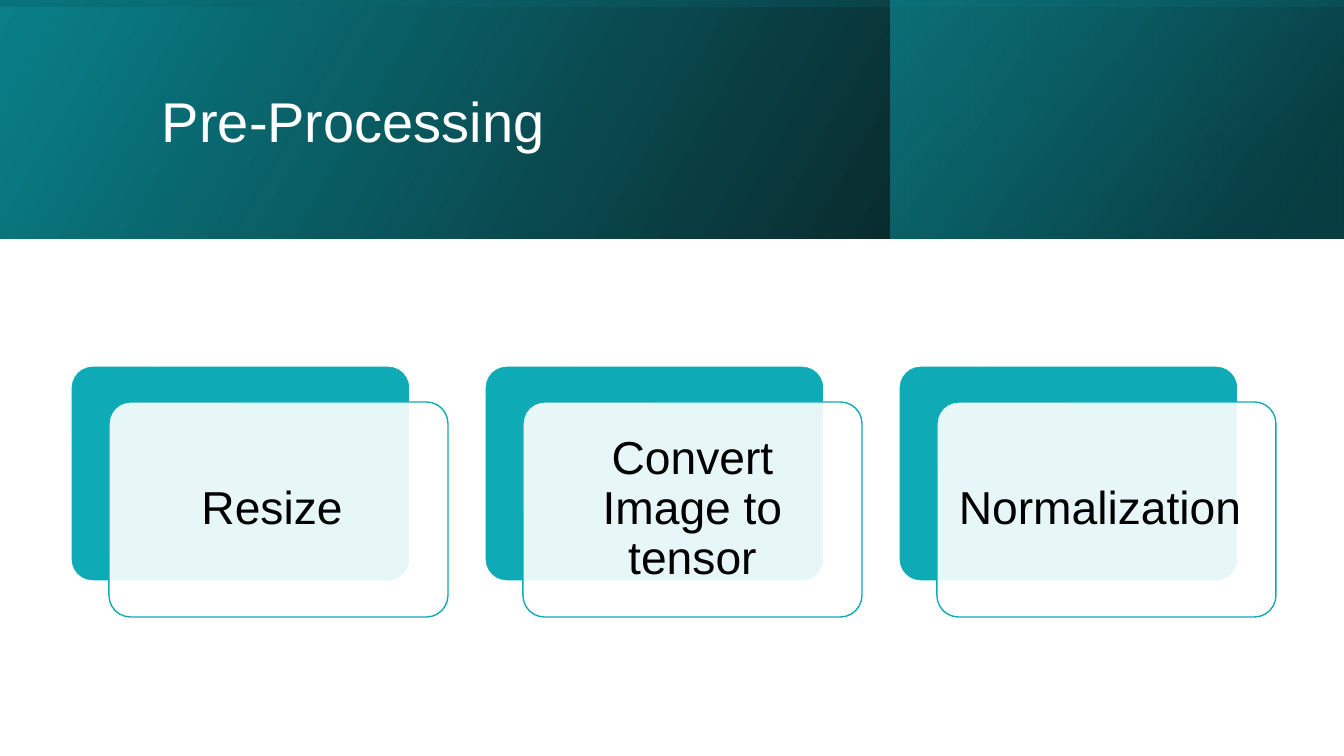
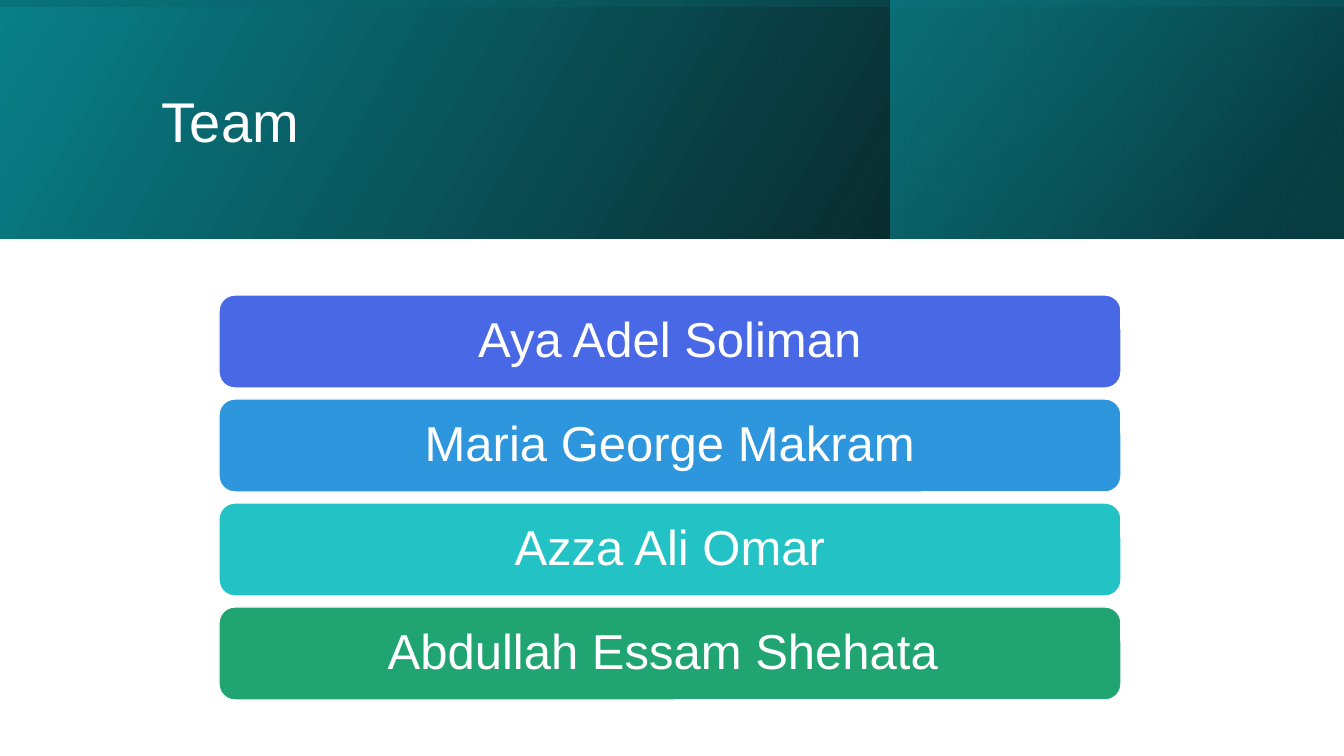
from dataclasses import dataclass

from pptx import Presentation
from pptx import dml, util as u
from pptx.dml.color import RGBColor
from pptx.enum import shapes, text
from pptx.oxml import parse_xml
from pptx.oxml.ns import nsdecls, qn
from lxml import etree

EMU_PER_PX = 914400 / 100.8


@dataclass(frozen=True)
class Theme:
    font: str = "Arial"
    black: str = "000000"
    white: str = "FFFFFF"
    teal: str = "0EABB7"
    dark_teal: str = "0A8089"
    deep_teal: str = "07555C"
    bars: tuple = ("4868E5", "2D96DD", "23C2C4", "20A472")
    title_size: int = 40
    card_size: int = 33
    bar_size: int = 35
    line_width: int = 1


@dataclass(frozen=True)
class Box:
    left: float
    top: float
    width: float
    height: float

    def emu(self):
        return [px(side) for side in (self.left, self.top, self.width, self.height)]

    def moved(self, right=0, down=0):
        return Box(self.left + right, self.top + down, self.width, self.height)


THEME = Theme()
PAGE = Box(0, 0, 1344, 756)
BAND = Box(0, 0, 1344, 239)
CARDS = Box(71, 366, 1205, 251)
BARS = Box(219, 295, 902, 405)


def px(length):
    return u.Emu(round(length * EMU_PER_PX))


def rgb(colour):
    return RGBColor.from_string(colour)


def add_gradient(page, box, stops, angle, rotation=0):
    """Add a mirrored rectangle; stops are (position, colour, opacity) in percent."""
    panel = page.shapes.add_shape(shapes.MSO_SHAPE.RECTANGLE, *box.emu())
    panel.shadow.inherit = False
    panel.line.fill.background()
    panel.rotation = rotation
    properties = panel._element.spPr
    properties.find(qn("a:xfrm")).set("flipH", "1")
    stop_xml = "".join(
        f'<a:gs pos="{position * 1000}"><a:srgbClr val="{colour}">'
        f'<a:alpha val="{opacity * 1000}"/></a:srgbClr></a:gs>'
        for position, colour, opacity in stops
    )
    properties.find(qn("a:prstGeom")).addnext(parse_xml(
        f'<a:gradFill {nsdecls("a")} rotWithShape="1"><a:gsLst>{stop_xml}</a:gsLst>'
        f'<a:lin ang="{angle * 60000}" scaled="0"/></a:gradFill>'
    ))


def add_rounded(page, box, fill, line, corner, opacity=100):
    shape = page.shapes.add_shape(shapes.MSO_SHAPE.ROUNDED_RECTANGLE, *box.emu())
    shape.adjustments[0] = corner
    shape.shadow.inherit = False
    shape.fill.solid()
    shape.fill.fore_color.rgb = rgb(fill)
    if opacity < 100:
        colour = shape._element.spPr.find(qn("a:solidFill"))[0]
        etree.SubElement(colour, qn("a:alpha")).set("val", str(opacity * 1000))
    shape.line.color.rgb = rgb(line)
    shape.line.width = u.Pt(THEME.line_width)
    return shape


def write(shape, words, size, colour, align, margins, space_after):
    frame = shape.text_frame
    frame.word_wrap = True
    frame.vertical_anchor = text.MSO_ANCHOR.MIDDLE
    frame.margin_left = frame.margin_right = px(margins[0])
    frame.margin_top = frame.margin_bottom = px(margins[1])
    para = frame.paragraphs[0]
    para.alignment = align
    para.line_spacing = 0.9
    para.space_after = u.Pt(space_after)
    span = para.add_run()
    span.text = words
    span.font.name = THEME.font
    span.font.size = u.Pt(size)
    span.font.color.rgb = rgb(colour)


def write_label(shape, words, size, colour, margin):
    write(shape, words, size, colour, text.PP_ALIGN.CENTER,
          (margin, margin), round(size * 0.35))


def add_title_band(page, box, title):
    add_gradient(page, box, [(0, THEME.black, 96), (100, THEME.dark_teal, 100)], 330)
    side = Box(box.left + 891, box.top, 452, box.height)
    add_gradient(page, side, [(19, THEME.deep_teal, 68), (100, THEME.teal, 48)], 320)
    # A quarter turn about the centre makes this upright panel cover the band.
    shift = (box.width - box.height) / 2
    upright = Box(box.left + shift, box.top - shift, box.height, box.width)
    add_gradient(page, upright,
                 [(23, THEME.dark_teal, 16), (99, THEME.black, 45)], 350, 270)
    heading = page.shapes.add_textbox(
        *Box(box.left + 152, box.top + 38, 1072, 173).emu())
    write(heading, title, THEME.title_size, THEME.white,
          text.PP_ALIGN.LEFT, (10, 5), 6)


def add_cards(page, box, labels):
    """Spread paired cards over the box, each front card down and right of its back."""
    right, down, gap = 38, 36, 37
    pitch = (box.width + gap) / len(labels)
    back = Box(box.left, box.top, pitch - gap - right, box.height - down)
    for index, label in enumerate(labels):
        place = back.moved(right=index * pitch)
        add_rounded(page, place, THEME.teal, THEME.white, 0.1)
        front = add_rounded(page, place.moved(right, down),
                            THEME.white, THEME.teal, 0.1, opacity=90)
        write_label(front, label, THEME.card_size, THEME.black, 14)


def add_name_bars(page, box, names):
    gap = 11
    pitch = (box.height + gap) / len(names)
    first = Box(box.left, box.top, box.width, pitch - gap)
    for index, (name, colour) in enumerate(zip(names, THEME.bars)):
        bar = add_rounded(page, first.moved(down=index * pitch),
                          colour, THEME.white, 0.17)
        write_label(bar, name, THEME.bar_size, THEME.white, 15)


def add_page(deck, title, add_body, box, labels):
    page = deck.slides.add_slide(deck.slide_layouts[6])
    add_title_band(page, BAND, title)
    add_body(page, box, labels)


def main():
    deck = Presentation()
    deck.slide_width, deck.slide_height = px(PAGE.width), px(PAGE.height)
    add_page(deck, "Pre-Processing", add_cards, CARDS,
             ["Resize ", "Convert Image to tensor", "Normalization "])
    add_page(deck, "Team", add_name_bars, BARS,
             ["Aya Adel Soliman", "Maria George Makram",
              "Azza Ali Omar", "Abdullah Essam Shehata "])
    deck.save("out.pptx")


if __name__ == "__main__":
    main()
